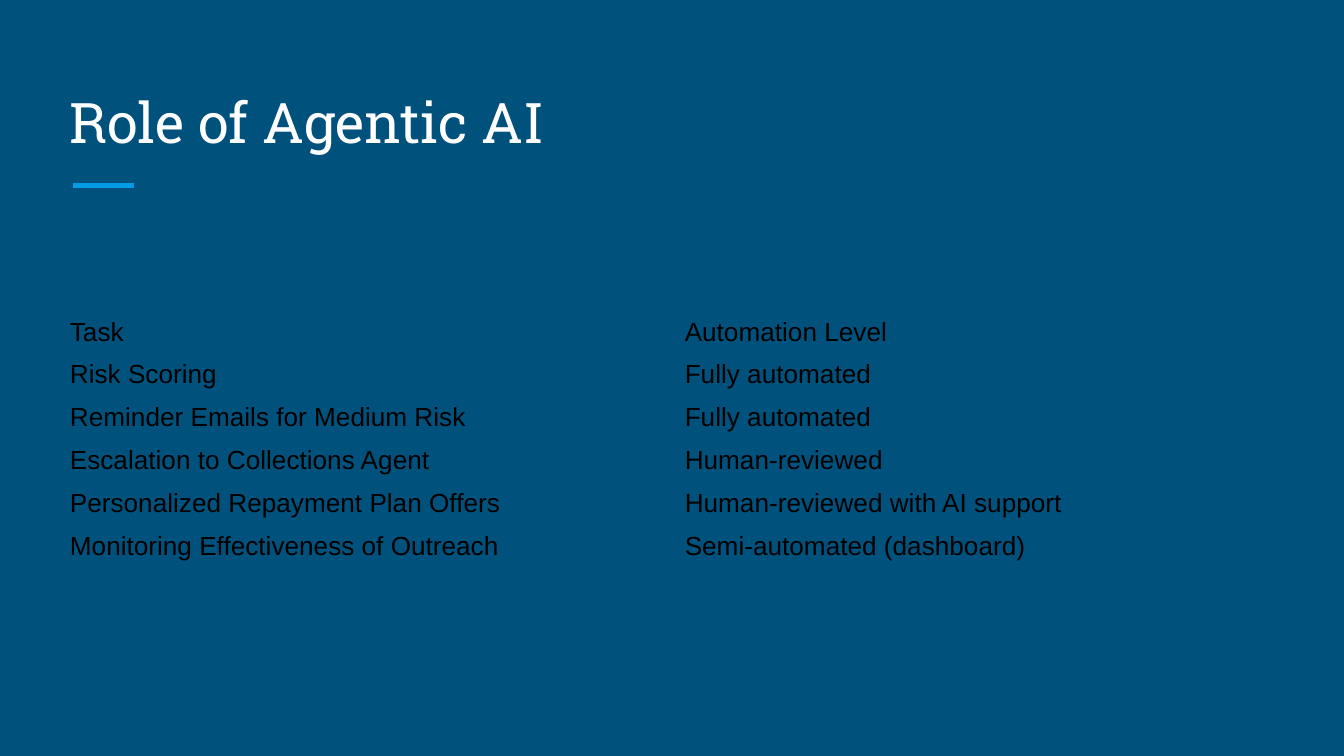
from dataclasses import dataclass

from lxml import etree
from pptx import Presentation
from pptx import util as u
from pptx.dml.color import RGBColor
from pptx.enum import shapes, text
from pptx.oxml import ns


@dataclass(frozen=True)
class Theme:
    background: RGBColor = RGBColor.from_string("00517C")
    accent: RGBColor = RGBColor.from_string("039BE5")
    title_color: RGBColor = RGBColor.from_string("FFFFFF")
    body_color: RGBColor = RGBColor.from_string("000000")
    title_font: str = "Roboto Slab"
    body_font: str = "Arial"
    title_size: u.Pt = u.Pt(30)
    body_size: u.Pt = u.Pt(14)
    accent_width: u.Pt = u.Pt(3)


THEME = Theme()
NO_GRID_STYLE = "{2D5ABB26-0587-4C30-8999-92F81FD0307C}"
SLIDE_WIDTH = u.Inches(10)
SLIDE_HEIGHT = SLIDE_WIDTH * 9 // 16
LEFT, WIDTH = 0.42, 9.15
ROW_HEIGHT = 0.32

ROWS = [
    ("Task", "Automation Level"),
    ("Risk Scoring", "Fully automated"),
    ("Reminder Emails for Medium Risk", "Fully automated"),
    ("Escalation to Collections Agent", "Human-reviewed"),
    ("Personalized Repayment Plan Offers", "Human-reviewed with AI support"),
    ("Monitoring Effectiveness of Outreach", "Semi-automated (dashboard)"),
]


def set_format(target, values):
    for name, value in values.items():
        setattr(target, name, value)


def write_text(frame, words, font, size, color):
    span = frame.paragraphs[0].add_run()
    span.text = words
    set_format(span.font, {"name": font, "size": size})
    span.font.color.rgb = color


def add_title(slide, words):
    box = slide.shapes.add_textbox(
        u.Inches(LEFT), u.Inches(0.5), u.Inches(WIDTH), u.Inches(0.75))
    inset = u.Inches(0.1)
    set_format(box.text_frame, {
        "word_wrap": True,
        "vertical_anchor": text.MSO_ANCHOR.BOTTOM,
        "margin_left": inset, "margin_right": inset,
        "margin_top": inset, "margin_bottom": inset,
    })
    write_text(box.text_frame, words, THEME.title_font, THEME.title_size,
               THEME.title_color)


def add_accent_line(slide):
    y = u.Inches(1.38)
    line = slide.shapes.add_connector(
        shapes.MSO_CONNECTOR.STRAIGHT, u.Inches(0.54), y, u.Inches(1), y)
    line.line.color.rgb = THEME.accent
    line.line.width = THEME.accent_width
    etree.SubElement(line._element.spPr, ns.qn("a:effectLst"))


def add_task_table(slide, rows):
    frame = slide.shapes.add_table(
        len(rows), len(rows[0]), u.Inches(LEFT), u.Inches(2.31),
        u.Inches(WIDTH), u.Inches(ROW_HEIGHT * len(rows)))
    table = frame.table
    set_format(table, {"first_row": False, "horz_banding": False})
    table._tbl.tblPr.find(ns.qn("a:tableStyleId")).text = NO_GRID_STYLE
    for row, values in zip(table.rows, rows):
        row.height = u.Inches(ROW_HEIGHT)
        for cell, words in zip(row.cells, values):
            cell.fill.background()
            set_format(cell, {
                "vertical_anchor": text.MSO_ANCHOR.MIDDLE,
                "margin_left": u.Inches(0.1), "margin_right": u.Inches(0.1),
                "margin_top": u.Inches(0.04), "margin_bottom": u.Inches(0.04),
            })
            write_text(cell.text_frame, words, THEME.body_font,
                       THEME.body_size, THEME.body_color)


def main():
    deck = Presentation()
    set_format(deck, {"slide_width": SLIDE_WIDTH,
                      "slide_height": SLIDE_HEIGHT})
    slide = deck.slides.add_slide(deck.slide_layouts[6])
    slide.background.fill.solid()
    slide.background.fill.fore_color.rgb = THEME.background
    add_accent_line(slide)
    add_title(slide, "Role of Agentic AI")
    add_task_table(slide, ROWS)
    deck.save("out.pptx")


if __name__ == "__main__":
    main()
